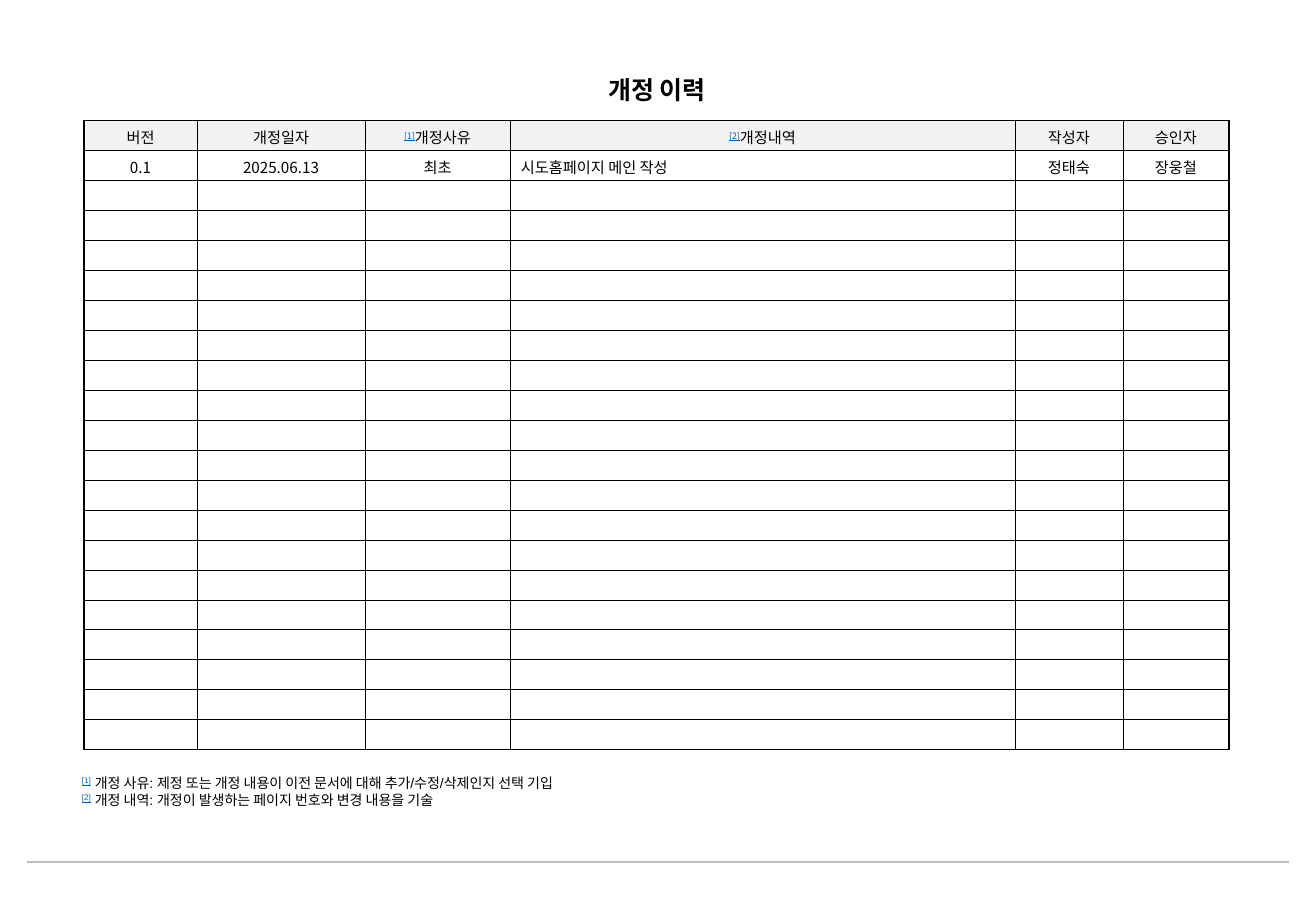
from lxml import etree
from pptx import Presentation
from pptx.dml.color import RGBColor
from pptx.enum.shapes import MSO_CONNECTOR
from pptx.enum.text import MSO_ANCHOR, PP_ALIGN
from pptx.oxml import parse_xml
from pptx.oxml.ns import nsdecls, qn
from pptx.util import Pt

PX = 7526  # EMU per pixel
BLACK = RGBColor(0x00, 0x00, 0x00)
BLUE = RGBColor(0x05, 0x63, 0xC1)
HEADER = RGBColor(0xF2, 0xF2, 0xF2)
GRAY = RGBColor(0xC0, 0xC0, 0xC0)
CENTER, LEFT = PP_ALIGN.CENTER, PP_ALIGN.LEFT
MIDDLE = MSO_ANCHOR.MIDDLE
KOREAN = "Noto Sans CJK KR"


def add_run(p, text, size, font, bold=False, mark=False):
    r = p.add_run()
    r.text = text
    r.font.size = Pt(size)
    r.font.name = font
    r.font.bold = bold
    r.font.underline = mark
    r.font.color.rgb = BLUE if mark else BLACK
    rPr = r.font._element
    if mark:
        rPr.set("baseline", "30000")
    etree.SubElement(rPr, qn("a:ea")).set("typeface", KOREAN)


def add_text(x, y, w, h):
    tf = s.shapes.add_textbox(x * PX, y * PX, w * PX, h * PX).text_frame
    tf.word_wrap = True
    tf.vertical_anchor = MIDDLE
    return tf


prs = Presentation()
prs.slide_width, prs.slide_height = 1316 * PX, 911 * PX
s = prs.slides.add_slide(prs.slide_layouts[6])

# Footer rule
rule = s.shapes.add_connector(MSO_CONNECTOR.STRAIGHT, 27 * PX, 862 * PX, 1289 * PX, 862 * PX)
rule.line.color.rgb = GRAY
rule.line.width = Pt(1.5)
etree.SubElement(rule._element.spPr, qn("a:effectLst"))

# Footnotes
notes = [
    ("[1]", " 개정 사유: 제정 또는 개정 내용이 이전 문서에 대해 추가/수정/삭제인지 선택 기입"),
    ("[2]", " 개정 내역: 개정이 발생하는 페이지 번호와 변경 내용을 기술"),
]
tf = add_text(70, 768, 562, 46)
for i, (mark, note) in enumerate(notes):
    p = tf.paragraphs[0] if i == 0 else tf.add_paragraph()
    p.line_spacing = Pt(10)
    add_run(p, mark, 8.3, "Arial", mark=True)
    add_run(p, note, 8.3, "Arial")

# Title
p = add_text(557, 69, 200, 42).paragraphs[0]
p.alignment = CENTER
add_run(p, "개정 이력", 14.8, "Arial", bold=True)

# Revision table
col_widths = [113, 168, 145, 505, 108, 106]
row_count, row_height = 21, 30
rows = [
    ["버전", "개정일자", "개정사유", "개정내역", "작성자", "승인자"],
    ["0.1", "2025.06.13", "최초", "시도홈페이지 메인 작성", "정태숙", "장웅철"],
]
header_marks = {2: "[1]", 3: "[2]"}
last_col = len(col_widths) - 1
tbl = s.shapes.add_table(row_count, len(col_widths), 84 * PX, 120 * PX,
                         sum(col_widths) * PX, row_count * row_height * PX).table
tbl.first_row = tbl.horz_banding = False
for c, width in enumerate(col_widths):
    tbl.columns[c].width = width * PX

for i in range(row_count):
    tbl.rows[i].height = row_height * PX
    for c in range(len(col_widths)):
        cell = tbl.cell(i, c)
        cell.vertical_anchor = MIDDLE
        cell.margin_left = cell.margin_right = 11 * PX
        cell.margin_top, cell.margin_bottom = 6 * PX, 2 * PX
        p = cell.text_frame.paragraphs[0]
        if i < len(rows):
            p.alignment = LEFT if (i, c) == (1, 3) else CENTER
            if i == 0 and c in header_marks:
                add_run(p, header_marks[c], 9, KOREAN, mark=True)
            add_run(p, rows[i][c], 9, KOREAN)
        else:
            etree.SubElement(p._p, qn("a:endParaRPr")).set("sz", "900")
        # Borders come before the fill in the cell properties
        tcPr = cell._tc.get_or_add_tcPr()
        for side in ("lnL", "lnR", "lnT", "lnB"):
            outer = (side, c) in (("lnL", 0), ("lnR", last_col))
            tcPr.append(parse_xml(
                f'<a:{side} {nsdecls("a")} w="{Pt(1 if outer else 0.5)}"><a:solidFill>'
                f'<a:srgbClr val="{BLACK}"/></a:solidFill></a:{side}>'))
        if i == 0:
            cell.fill.solid()
            cell.fill.fore_color.rgb = HEADER
        else:
            cell.fill.background()

prs.save("out.pptx")
